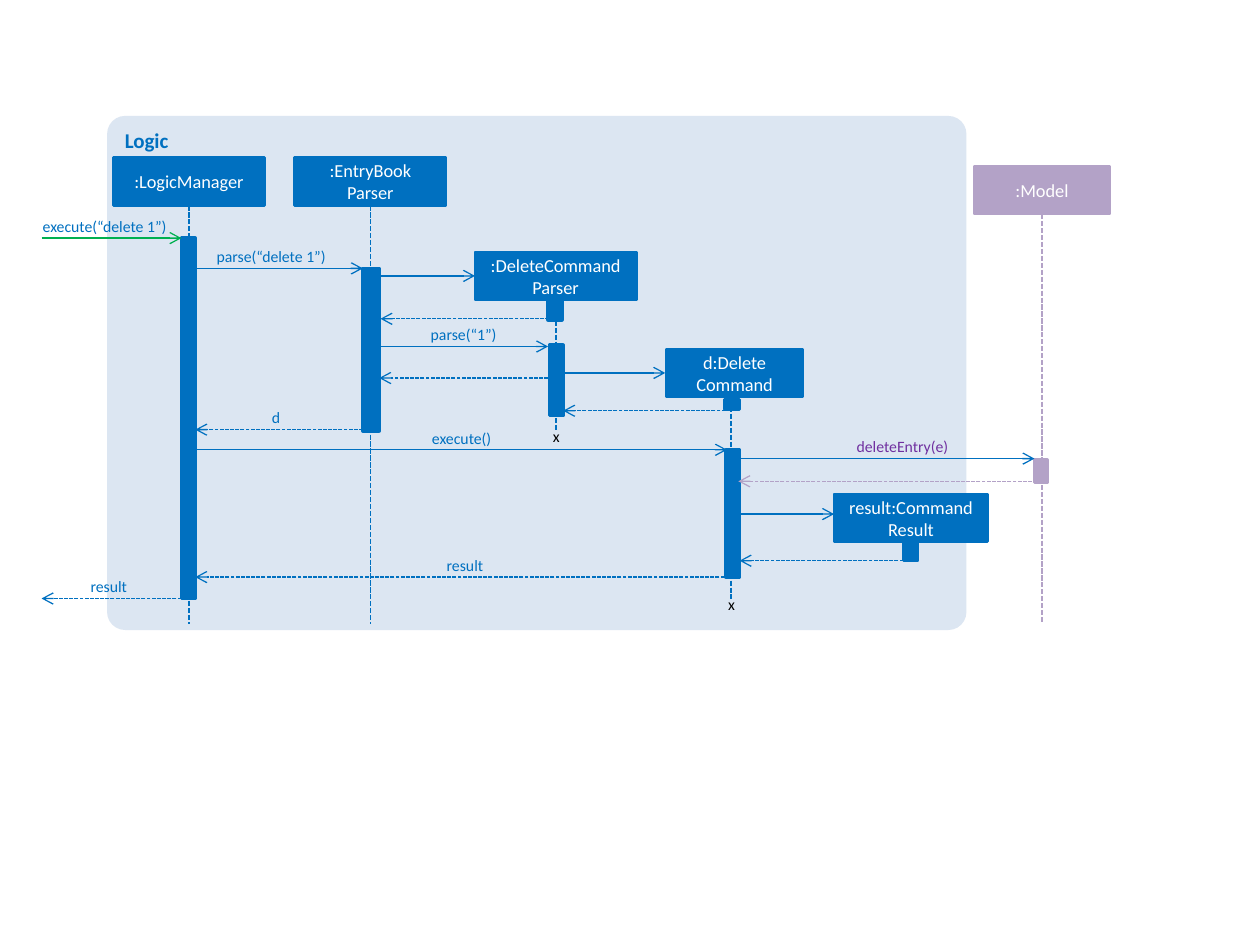
from dataclasses import dataclass

from lxml.etree import SubElement
from pptx import Presentation
from pptx.dml.color import RGBColor
from pptx.enum.dml import MSO_LINE
from pptx.enum.shapes import MSO_CONNECTOR, MSO_SHAPE
from pptx.enum.text import MSO_ANCHOR, MSO_AUTO_SIZE, PP_ALIGN
from pptx.oxml.ns import qn
from pptx.util import Pt

PX = 9144


@dataclass(frozen=True)
class Theme:
    """Colours, font and sizes of the diagram."""

    font: str = "Calibri"
    panel: str = "DCE6F2"
    logic: str = "0070C0"
    model: str = "B3A2C7"
    call_in: str = "00B050"
    model_call: str = "7030A0"
    white: str = "FFFFFF"
    black: str = "000000"
    panel_size: float = 12
    head_size: float = 10.5
    label_size: float = 9
    head_line: float = 1.5
    bar_line: float = 2
    lifeline: float = 1
    message_line: float = 0.75


THEME = Theme()


@dataclass(frozen=True)
class Box:
    """A region in px."""

    left: int
    top: int
    width: int
    height: int

    def inner(self, left, top, width, height):
        """Return a box placed relative to this one."""
        return Box(self.left + left, self.top + top, width, height)

    def emu(self):
        """Return the four lengths in EMU."""
        return [n * PX for n in (self.left, self.top, self.width, self.height)]


@dataclass(frozen=True)
class Message:
    """A call or return between two lifelines."""

    start: int
    end: int
    y: int
    label: str = ""
    label_left: int = 0
    returns: bool = False
    color: str = THEME.logic
    label_color: str = THEME.logic
    align: PP_ALIGN = PP_ALIGN.LEFT


PARTICIPANTS = [
    (":LogicManager", (5, 33, 120, 38), (60, 38, 370), [(54, 64, 11, 286)], False),
    (":EntryBook Parser", (149, 33, 120, 38), (60, 38, 370), [(54, 88, 13, 129)], False),
    (":DeleteCommand Parser", (292, 108, 128, 38), (64, 38, 142),
     [(59, 74, 11, 56), (58, 37, 11, 17)], True),
    ("d:Delete Command", (444, 185, 108, 38), (51, 35, 198),
     [(46, 40, 12, 8), (47, 80, 11, 101)], True),
    ("result:Command Result", (577, 300, 122, 38), None, [(55, 36, 11, 17)], False),
]

MESSAGES = [
    Message(9, 120, 97, "execute(“delete 1”)", 0, color=THEME.call_in),
    Message(131, 264, 121, "parse(“delete 1”)", 138),
    Message(278, 353, 127),
    Message(278, 411, 183, "parse(“1”)", 308),
    Message(418, 504, 204),
    Message(562, 638, 316),
    Message(126, 553, 265, "execute()", 309),
    Message(563, 797, 272, "deleteEntry(e)", 646, label_color=THEME.model_call),
    Message(264, 131, 249, "d", 182, returns=True),
    Message(412, 278, 161, returns=True),
    Message(411, 277, 208, returns=True),
    Message(556, 423, 234, returns=True),
    Message(551, 131, 366, "result", 284, returns=True, align=PP_ALIGN.CENTER),
    Message(120, 9, 383, "result", 38, returns=True),
    Message(693, 563, 353, returns=True),
    Message(795, 562, 290, returns=True, color=THEME.model),
]


def write(frame, text, *, size, color, bold=False, align=PP_ALIGN.LEFT, anchor=MSO_ANCHOR.TOP):
    """Put formatted text into a text frame."""
    frame.word_wrap = True
    frame.vertical_anchor = anchor
    paragraph = frame.paragraphs[0]
    paragraph.alignment = align
    run = paragraph.add_run()
    run.text = text
    run.font.name = THEME.font
    run.font.size = Pt(size)
    run.font.bold = bold
    run.font.color.rgb = RGBColor.from_string(color)


def add_block(slide, box, fill, line_width=0, preset=MSO_SHAPE.RECTANGLE):
    """Add a filled block, outlined in its own colour if a width is given."""
    block = slide.shapes.add_shape(preset, *box.emu())
    block.shadow.inherit = False
    block.fill.solid()
    block.fill.fore_color.rgb = RGBColor.from_string(fill)
    if line_width:
        block.line.color.rgb = RGBColor.from_string(fill)
        block.line.width = Pt(line_width)
    else:
        block.line.fill.background()
    return block


def add_line(slide, start, end, color, width, dashed=False, arrow=False):
    """Add a straight line between two px points."""
    ends = [n * PX for n in (*start, *end)]
    connector = slide.shapes.add_connector(MSO_CONNECTOR.STRAIGHT, *ends)
    connector.line.color.rgb = RGBColor.from_string(color)
    connector.line.width = Pt(width)
    if dashed:
        connector.line.dash_style = MSO_LINE.SQUARE_DOT
    if arrow:
        SubElement(connector.get_or_add_ln(), qn("a:tailEnd"), type="arrow")
    SubElement(connector.element.spPr, qn("a:effectLst"))


def add_label(slide, box, text, color, align=PP_ALIGN.LEFT):
    """Add a small label."""
    label = slide.shapes.add_textbox(*box.emu())
    write(label.text_frame, text, size=THEME.label_size, color=color, align=align)
    label.text_frame.auto_size = MSO_AUTO_SIZE.SHAPE_TO_FIT_TEXT


def draw_participant(slide, box, name, lifeline, bars, destroyed=False, color=THEME.logic):
    """Draw a head with its lifeline and activation bars."""
    head = add_block(slide, box, color, THEME.head_line)
    write(head.text_frame, name, size=THEME.head_size, color=THEME.white,
          align=PP_ALIGN.CENTER, anchor=MSO_ANCHOR.MIDDLE)
    if lifeline:
        x, top, bottom = lifeline
        add_line(slide, (box.left + x, box.top + top), (box.left + x, box.top + bottom),
                 color, THEME.lifeline, dashed=True)
    for bar in bars:
        add_block(slide, box.inner(*bar), color, THEME.bar_line)
    if destroyed:
        add_label(slide, box.inner(x - 12, bottom - 8, 24, 25), "x", THEME.black)


def draw_logic(slide, box):
    """Draw the Logic panel and its participants."""
    panel = add_block(slide, box, THEME.panel, preset=MSO_SHAPE.ROUNDED_RECTANGLE)
    panel.adjustments[0] = 0.035
    write(panel.text_frame, "Logic", size=THEME.panel_size, color=THEME.logic, bold=True)
    for name, head, lifeline, bars, destroyed in PARTICIPANTS:
        draw_participant(slide, box.inner(*head), name, lifeline, bars, destroyed)


def draw_messages(slide, box):
    """Draw the messages with their labels above the arrows."""
    for message in MESSAGES:
        y = box.top + message.y
        add_line(slide, (box.left + message.start, y), (box.left + message.end, y),
                 message.color, THEME.message_line, dashed=message.returns, arrow=True)
        if message.label:
            add_label(slide, box.inner(message.label_left, message.y - 22, 122, 25),
                      message.label, message.label_color, message.align)


def main():
    """Build the sequence diagram slide."""
    deck = Presentation()
    deck.slide_width, deck.slide_height = 1000 * PX, 750 * PX
    slide = deck.slides.add_slide(deck.slide_layouts[6])
    draw_logic(slide, Box(85, 92, 682, 408))
    draw_participant(slide, Box(773, 132, 108, 38), ":Model", (54, 38, 363),
                     [(48, 233, 10, 18)], color=THEME.model)
    draw_messages(slide, Box(24, 92, 857, 408))
    deck.save("out.pptx")


if __name__ == "__main__":
    main()
